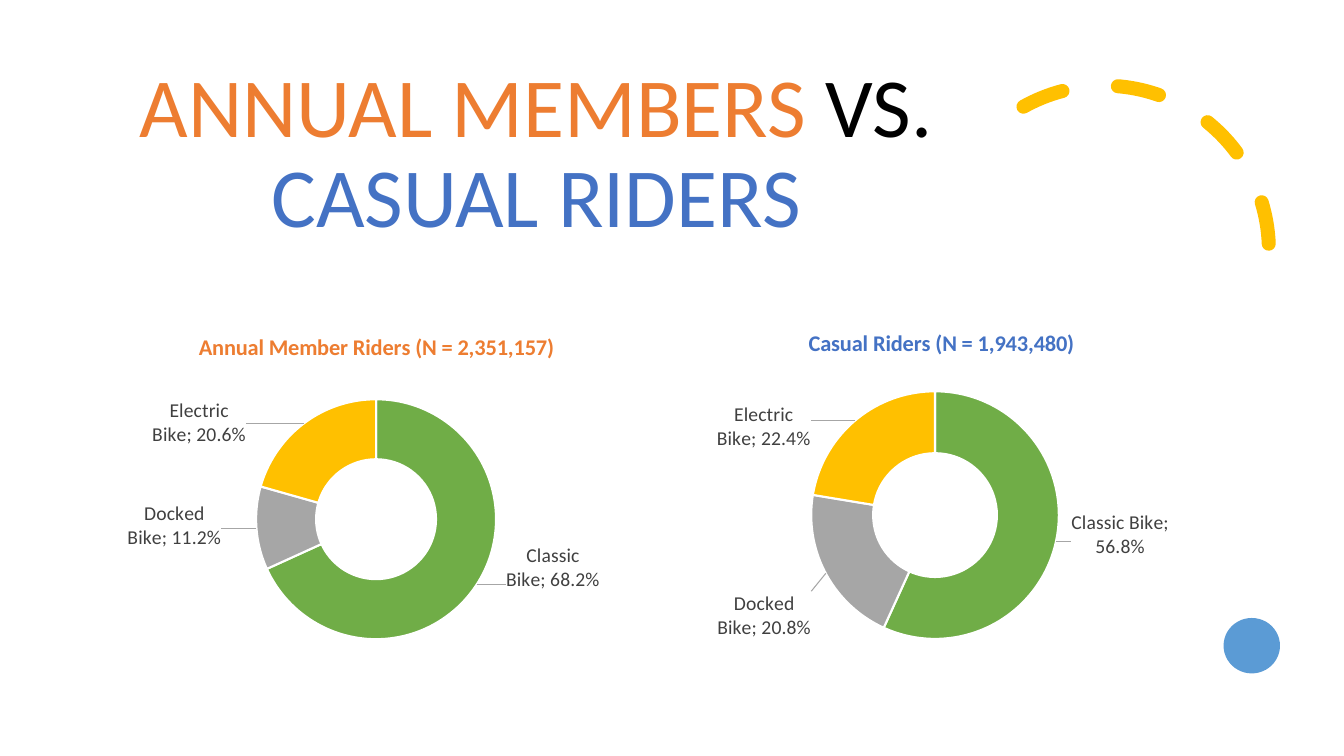
import pptx
import pptx.chart.data
import pptx.dml.color
import pptx.enum.chart
import pptx.enum.dml
import pptx.enum.shapes
import pptx.enum.text
import pptx.oxml
import pptx.oxml.ns
import pptx.util

Pt = pptx.util.Pt
SHAPE = pptx.enum.shapes.MSO_SHAPE
COLORS = {
    "member": "ED7D31", "casual": "4472C4", "black": "000000", "white": "FFFFFF",
    "label": "404040", "classic": "70AD47", "docked": "A6A6A6",
    "electric": "FFC000", "arc": "FFC000", "dot": "5B9BD5", "leader": "A6A6A6",
}
BIKES = {"Classic Bike": "classic", "Docked Bike": "docked", "Electric Bike": "electric"}
PERCENT = "0.0%"


def chart_xml(tag, content="", attrs=""):
    return pptx.oxml.parse_xml(
        f'<c:{tag} {pptx.oxml.ns.nsdecls("c", "a")} {attrs}>{content}</c:{tag}>')


def manual_layout(**values):
    """Layout element; lengths are fractions of the chart frame."""
    content = "".join(f'<c:{key} val="{value}"/>' for key, value in values.items())
    return chart_xml("layout", f"<c:manualLayout>{content}</c:manualLayout>")


class SlideBuilder:
    font = "Calibri"

    def __init__(self, slide):
        self.shapes = slide.shapes

    def color(self, name):
        return pptx.dml.color.RGBColor.from_string(COLORS[name])

    def style(self, font, size, color, bold=False):
        font.name, font.size, font.bold = self.font, Pt(size), bold
        font.color.rgb = self.color(color)

    def paint(self, fill, color):
        fill.solid()
        fill.fore_color.rgb = self.color(color)

    def title(self, box, parts):
        tf = self.shapes.add_textbox(*map(Pt, box)).text_frame
        tf.word_wrap = True
        tf.vertical_anchor = pptx.enum.text.MSO_ANCHOR.BOTTOM
        p = tf.paragraphs[0]
        p.alignment = pptx.enum.text.PP_ALIGN.CENTER
        p.line_spacing = 0.9
        for text, color in parts:
            r = p.add_run()
            r.text = text
            self.style(r.font, 60, color)

    def dashed_arc(self, box, start, end, color):
        sp = self.shapes.add_shape(SHAPE.ARC, *map(Pt, box))
        sp.shadow.inherit = False
        sp.adjustments[0], sp.adjustments[1] = start, end
        sp.fill.background()
        sp.line.width = Pt(10)
        sp.line.color.rgb = self.color(color)
        sp.line.dash_style = pptx.enum.dml.MSO_LINE.DASH
        sp.line._get_or_add_ln().set("cap", "rnd")

    def dot(self, box, color):
        sp = self.shapes.add_shape(SHAPE.OVAL, *map(Pt, box))
        sp.shadow.inherit = False
        self.paint(sp.fill, color)
        sp.line.fill.background()

    def doughnut(self, box, title, color, title_x, shares, ring, offsets):
        """Ring is x, y, w, h; offsets move each label from its slice."""
        data = pptx.chart.data.CategoryChartData(number_format=PERCENT)
        data.categories = list(BIKES)
        data.add_series("Series 1", shares)
        chart = self.shapes.add_chart(
            pptx.enum.chart.XL_CHART_TYPE.DOUGHNUT, *map(Pt, box), data).chart
        self.style(chart.font, 10, "black")
        chart.has_legend = False
        self.chart_title(chart, title, color, title_x)

        plot = chart.plots[0]
        plot.vary_by_categories = True
        plot._element.find(pptx.oxml.ns.qn("c:holeSize")).set("val", "60")
        plot_area = plot._element.getparent()
        for old in plot_area.findall(pptx.oxml.ns.qn("c:layout")):
            plot_area.remove(old)
        x, y, w, h = ring
        plot_area.insert(0, manual_layout(
            layoutTarget="inner", xMode="edge", yMode="edge", x=x, y=y, w=w, h=h))

        series = plot.series[0]
        labels = series.data_labels
        labels.show_value = labels.show_category_name = True
        labels.number_format, labels.number_format_is_linked = PERCENT, False
        self.style(labels.font, 14, "label")
        for i, (bike, offset) in enumerate(zip(BIKES.values(), offsets)):
            point = series.points[i]
            self.paint(point.format.fill, bike)
            point.format.line.color.rgb = self.color("white")
            point.format.line.width = Pt(1.5)
            self.point_label(point.data_label, offset)
        self.leader_lines(labels._element)

    def chart_title(self, chart, text, color, x):
        chart.has_title = True
        title = chart.chart_title
        title.text_frame.text = text
        self.style(title.text_frame.paragraphs[0].runs[0].font, 16, color, True)
        title.include_in_layout = False
        for old in title._element.findall(pptx.oxml.ns.qn("c:layout")):
            title._element.remove(old)
        title._element.find(pptx.oxml.ns.qn("c:tx")).addnext(
            manual_layout(xMode="edge", yMode="edge", x=x, y=0.05))

    def point_label(self, label, offset):
        self.style(label.font, 14, "label")
        dlbl = label._get_or_add_dLbl()
        dlbl.find(pptx.oxml.ns.qn("c:showCatName")).set("val", "1")
        idx = dlbl.find(pptx.oxml.ns.qn("c:idx"))
        idx.addnext(chart_xml("numFmt", attrs=f'formatCode="{PERCENT}" sourceLinked="0"'))
        idx.addnext(manual_layout(x=offset[0], y=offset[1]))
        # Doughnut slices accept no preset label position.
        for position in dlbl.findall(pptx.oxml.ns.qn("c:dLblPos")):
            dlbl.remove(position)

    def leader_lines(self, dlbls):
        for old in dlbls.findall(pptx.oxml.ns.qn("c:showLeaderLines")):
            dlbls.remove(old)
        dlbls.append(chart_xml("showLeaderLines", attrs='val="1"'))
        dlbls.append(chart_xml("leaderLines", (
            '<c:spPr><a:ln w="9525"><a:solidFill>'
            f'<a:srgbClr val="{COLORS["leader"]}"/></a:solidFill></a:ln></c:spPr>')))


def main():
    prs = pptx.Presentation()
    prs.slide_width, prs.slide_height = Pt(960), Pt(540)
    s = SlideBuilder(prs.slides.add_slide(prs.slide_layouts[6]))

    s.dashed_arc((671, 61.2, 235.4, 235.4), 144.42, 0, "arc")
    s.title((69.8, 33.8, 626.4, 145.4), [
        ("ANNUAL MEMBERS ", "member"), ("VS. ", "black"), ("CASUAL RIDERS", "casual")])
    s.dot((874, 441.4, 40.3, 39.6), "dot")
    s.doughnut((471.6, 218.9, 396.7, 252.7), "Casual Riders (N = 1,943,480)",
               "casual", 0.26, (0.568, 0.208, 0.224), (0.27, 0.24, 0.45, 0.7),
               [(0.17, 0), (-0.16, 0.16), (-0.2, -0.05)])
    s.doughnut((76.3, 221.8, 380.9, 252.7), "Annual Member Riders (N = 2,351,157)",
               "member", 0.165, (0.682, 0.112, 0.206), (0.28, 0.25, 0.45, 0.68),
               [(0.19, 0), (-0.21, 0), (-0.23, -0.07)])
    prs.save("out.pptx")


if __name__ == "__main__":
    main()
